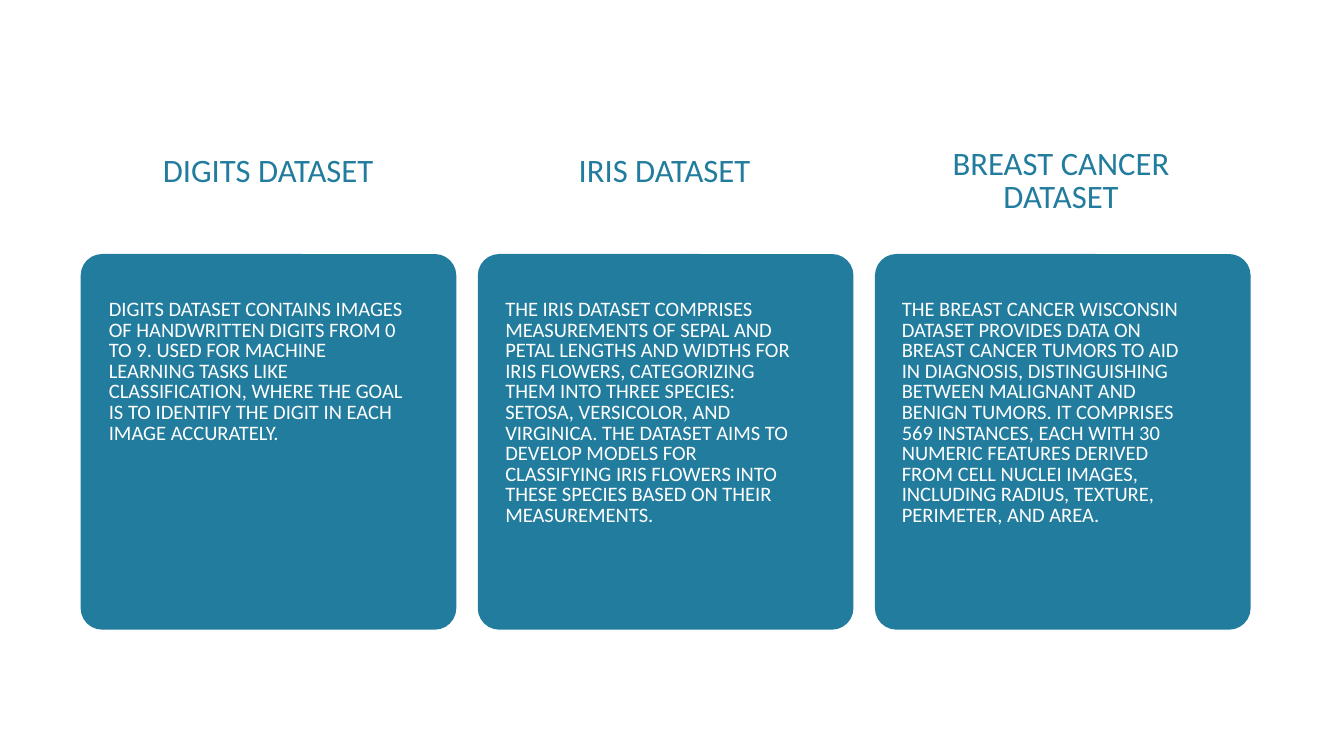
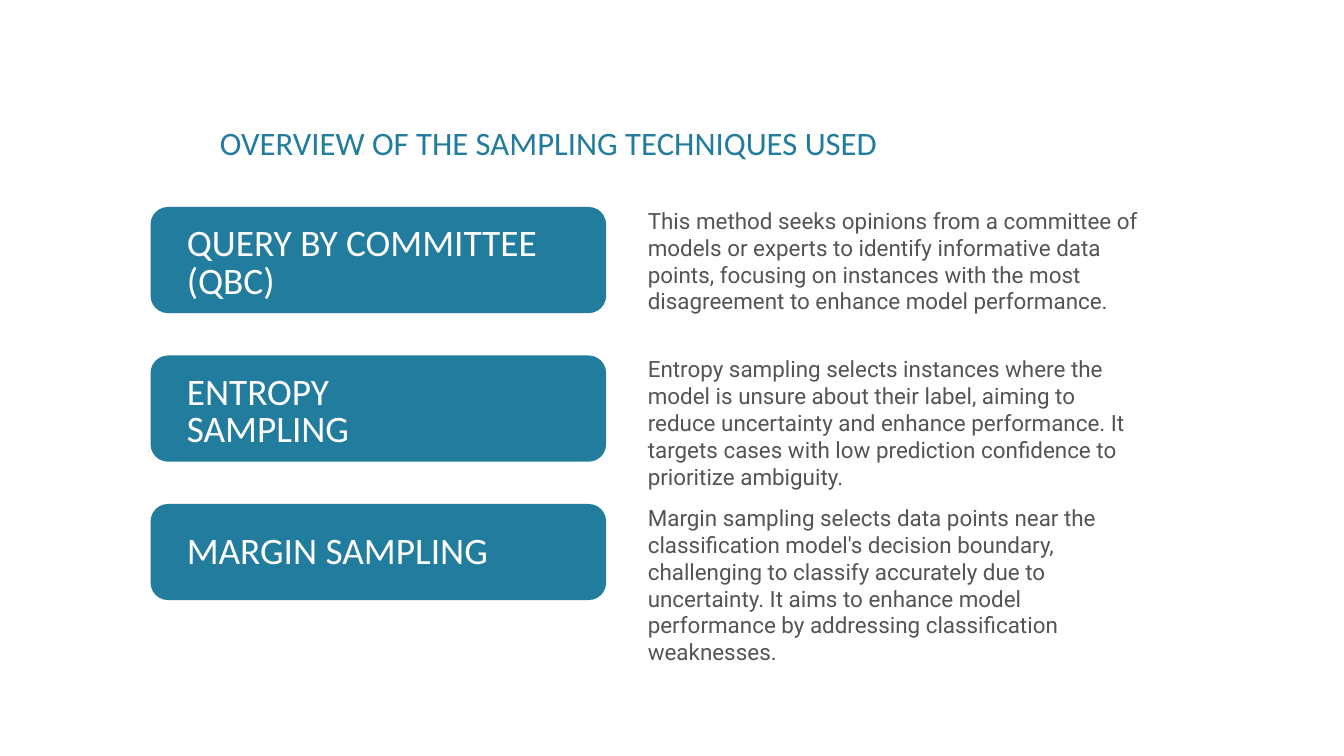
from pptx import Presentation
from pptx.dml.color import RGBColor
from pptx.enum.shapes import MSO_SHAPE
from pptx.enum.text import PP_ALIGN
from pptx.util import Inches, Pt

# Square grid: 20 columns by 11.25 rows
SLIDE_WIDTH, SLIDE_HEIGHT = Inches(20), Inches(11.25)
GRID_UNIT = SLIDE_WIDTH / 20

TEAL = RGBColor(0x22, 0x7C, 0x9D)
WHITE = RGBColor(0xFF, 0xFF, 0xFF)
GRAY = RGBColor(0x54, 0x54, 0x54)

# Text styles: font, size, line spacing, colour, alignment
HEADING = ("Calibri", 35, 35, TEAL, PP_ALIGN.CENTER)
CARD_BODY = ("Calibri", 22, 22, WHITE, PP_ALIGN.LEFT)
LABEL = ("Calibri", 40, 40, WHITE, PP_ALIGN.LEFT)
DESCRIPTION = ("Roboto", 24, 28.8, GRAY, PP_ALIGN.LEFT)

# Heading, heading row, description
DATASETS = [
    ("DIGITS DATASET", 2.33,
     "DIGITS DATASET CONTAINS IMAGES OF HANDWRITTEN DIGITS FROM 0 TO 9. USED FOR "
     "MACHINE LEARNING TASKS LIKE CLASSIFICATION, WHERE THE GOAL IS TO IDENTIFY THE "
     "DIGIT IN EACH IMAGE ACCURATELY."),
    ("IRIS DATASET", 2.33,
     "THE IRIS DATASET COMPRISES MEASUREMENTS OF SEPAL AND PETAL LENGTHS AND WIDTHS "
     "FOR IRIS FLOWERS, CATEGORIZING THEM INTO THREE SPECIES: SETOSA, VERSICOLOR, AND "
     "VIRGINICA. THE DATASET AIMS TO DEVELOP MODELS FOR CLASSIFYING IRIS FLOWERS INTO "
     "THESE SPECIES BASED ON THEIR MEASUREMENTS."),
    ("BREAST CANCER DATASET", 2.23,
     "THE BREAST CANCER WISCONSIN DATASET PROVIDES DATA ON BREAST CANCER TUMORS TO AID "
     "IN DIAGNOSIS, DISTINGUISHING BETWEEN MALIGNANT AND BENIGN TUMORS. IT COMPRISES "
     "569 INSTANCES, EACH WITH 30 NUMERIC FEATURES DERIVED FROM CELL NUCLEI IMAGES, "
     "INCLUDING RADIUS, TEXTURE, PERIMETER, AND AREA."),
]

# Label, panel height, label offset, label height, description
TECHNIQUES = [
    ("QUERY BY COMMITTEE (QBC)", 1.58, 0.3, 1.12,
     "This method seeks opinions from a committee of models or experts to identify "
     "informative data points, focusing on instances with the most disagreement to "
     "enhance model performance."),
    ("ENTROPY\nSAMPLING", 1.58, 0.3, 1.12,
     "Entropy sampling selects instances where the model is unsure about their label, "
     "aiming to reduce uncertainty and enhance performance. It targets cases with low "
     "prediction confidence to prioritize ambiguity."),
    ("MARGIN SAMPLING", 1.43, 0.45, 0.59,
     "Margin sampling selects data points near the classification model's decision "
     "boundary, challenging to classify accurately due to uncertainty. It aims to "
     "enhance model performance by addressing classification weaknesses."),
]


def grid(*lengths):
    """Turn grid columns and rows into slide lengths."""
    return [round(length * GRID_UNIT) for length in lengths]


def add_panel(slide, left, top, width, height, radius):
    panel = slide.shapes.add_shape(MSO_SHAPE.ROUNDED_RECTANGLE,
                                   *grid(left, top, width, height))
    panel.adjustments[0] = radius / min(width, height)
    panel.shadow.inherit = False
    panel.fill.solid()
    panel.fill.fore_color.rgb = TEAL
    panel.line.fill.background()


def add_text(slide, text, left, top, width, height, style):
    font_name, size, spacing, colour, alignment = style
    frame = slide.shapes.add_textbox(*grid(left, top, width, height)).text_frame
    frame.word_wrap = True
    frame.margin_left = frame.margin_right = frame.margin_top = frame.margin_bottom = 0
    frame.text = text
    for paragraph in frame.paragraphs:
        paragraph.alignment = alignment
        paragraph.line_spacing = Pt(spacing)
        paragraph.font.name = font_name
        paragraph.font.size = Pt(size)
        paragraph.font.color.rgb = colour


def add_dataset_slide(presentation):
    slide = presentation.slides.add_slide(presentation.slide_layouts[6])
    for column, (heading, heading_top, body) in enumerate(DATASETS):
        text_shift = 5.9 * column
        add_panel(slide, 1.2 + 5.91 * column, 3.78, 5.59, 5.59, 0.32)
        add_text(slide, heading, 1.5 + text_shift, heading_top, 4.98, 0.52, HEADING)
        add_text(slide, body, 1.62 + text_shift, 4.47, 4.44, 4.25, CARD_BODY)


def add_technique_slide(presentation):
    slide = presentation.slides.add_slide(presentation.slide_layouts[6])
    add_text(slide, "OVERVIEW OF THE SAMPLING TECHNIQUES USED",
             2.24, 1.93, 11.85, 0.52, HEADING)
    for row, (label, height, offset, label_height, description) in enumerate(TECHNIQUES):
        top = 3.08 + 2.21 * row
        add_panel(slide, 2.24, top, 6.78, height, 0.26)
        add_text(slide, label, 2.78, top + offset, 5.66, label_height, LABEL)
        add_text(slide, description, 9.64, top, 7.34, 2.03, DESCRIPTION)


def main():
    presentation = Presentation()
    presentation.slide_width, presentation.slide_height = SLIDE_WIDTH, SLIDE_HEIGHT
    add_dataset_slide(presentation)
    add_technique_slide(presentation)
    presentation.save("out.pptx")


if __name__ == "__main__":
    main()
